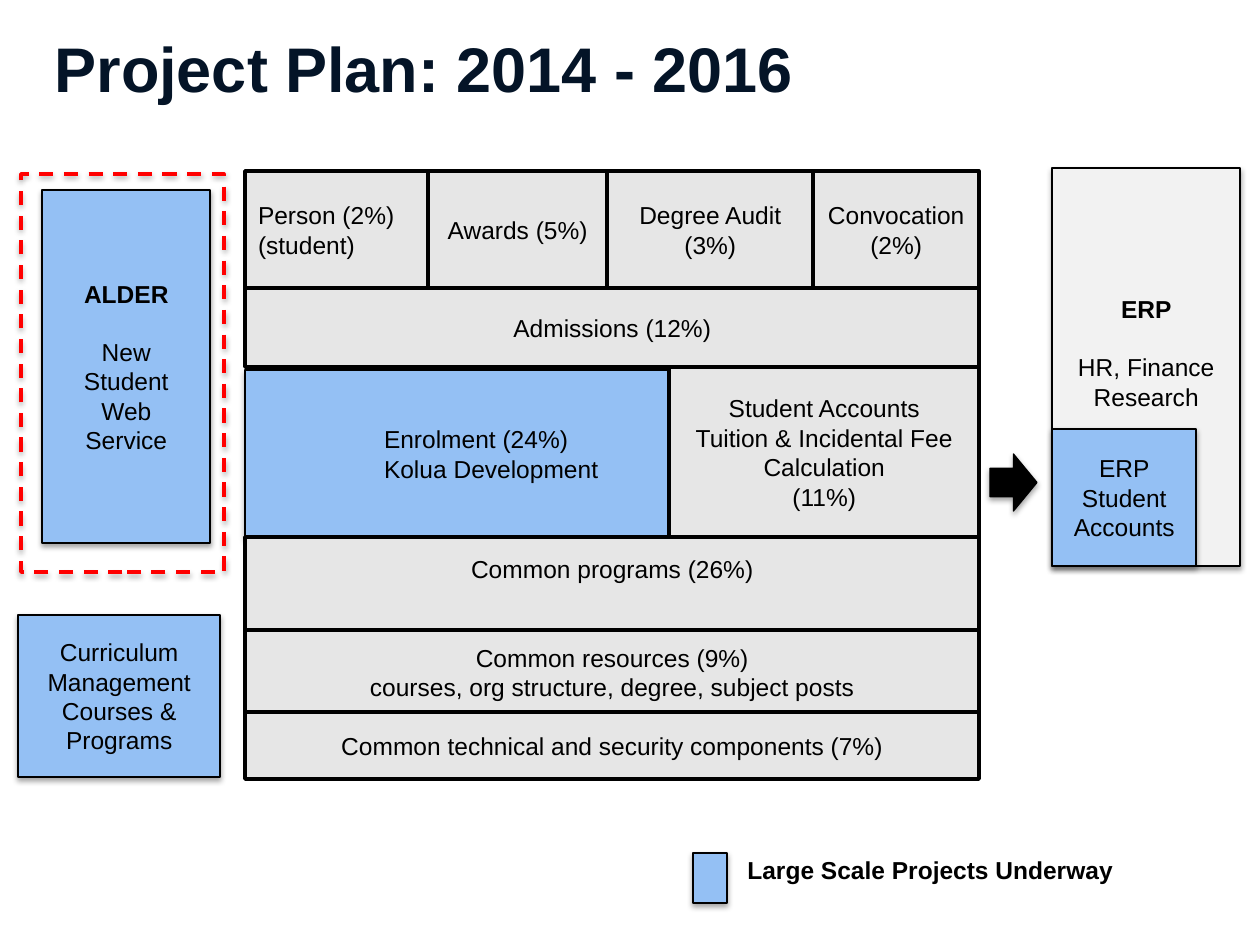
import itertools
from dataclasses import dataclass

import lxml.etree
import pptx
import pptx.dml.color
import pptx.enum.dml
import pptx.enum.shapes
import pptx.enum.text
import pptx.oxml.ns
import pptx.util

PX = 914400 / 126  # EMU in one px
SHAPES = pptx.enum.shapes.MSO_SHAPE
ALIGN = pptx.enum.text.PP_ALIGN
ANCHOR = pptx.enum.text.MSO_ANCHOR


@dataclass(frozen=True)
class Theme:
    font: str = "Arial"
    title_size: int = 36
    text_size: int = 14
    title: str = "041427"
    ink: str = "000000"
    underway: str = "94C0F4"
    planned: str = "E6E6E6"
    external: str = "F2F2F2"
    highlight: str = "FF0000"
    thin: float = 0.75
    thick: float = 2


THEME = Theme()


def px(value):
    return pptx.util.Emu(round(value * PX))


def rgb(value):
    return pptx.dml.color.RGBColor.from_string(value)


def format_text(text_frame, size=THEME.text_size, color=THEME.ink,
                align=ALIGN.LEFT, bold_lines=()):
    for index, paragraph in enumerate(text_frame.paragraphs):
        paragraph.alignment = align
        for run in paragraph.runs:
            run.font.name = THEME.font
            run.font.size = pptx.util.Pt(size)
            run.font.bold = index in bold_lines
            run.font.color.rgb = rgb(color)


def add_soft_shadow(shape):
    effects = shape._element.spPr.find(pptx.oxml.ns.qn("a:effectLst"))
    shadow = lxml.etree.SubElement(
        effects, pptx.oxml.ns.qn("a:outerShdw"),
        blurRad="40000", dist="23000", dir="5400000", rotWithShape="0")
    color = lxml.etree.SubElement(
        shadow, pptx.oxml.ns.qn("a:srgbClr"), val=THEME.ink)
    lxml.etree.SubElement(color, pptx.oxml.ns.qn("a:alpha"), val="35000")


def add_block(slide, box, fill, kind=SHAPES.RECTANGLE, line=THEME.ink,
              width=THEME.thin, shadow=True):
    shape = slide.shapes.add_shape(kind, *map(px, box))
    if fill:
        shape.fill.solid()
        shape.fill.fore_color.rgb = rgb(fill)
    else:
        shape.fill.background()
    shape.line.color.rgb = rgb(line)
    shape.line.width = pptx.util.Pt(width)
    shape.shadow.inherit = False
    if shadow:
        add_soft_shadow(shape)
    return shape


def write_label(shape, text, align=ALIGN.CENTER, heading=False,
                left=13, bottom=6):
    text_frame = shape.text_frame
    text_frame.text = text
    text_frame.word_wrap = True
    text_frame.vertical_anchor = ANCHOR.MIDDLE
    text_frame.margin_left = px(left)
    text_frame.margin_bottom = px(bottom)
    format_text(text_frame, align=align, bold_lines=(0,) if heading else ())
    if heading:
        text_frame.paragraphs[0].space_after = pptx.util.Pt(16.5)


def add_module(slide, box, text, **label):
    shape = add_block(slide, box, THEME.planned, width=THEME.thick, shadow=False)
    write_label(shape, text, **label)


def add_project(slide, box, text, fill=THEME.underway, **label):
    write_label(add_block(slide, box, fill), text, **label)


def add_title(slide, text):
    title = slide.shapes.title
    title.left, title.top, title.width, title.height = map(px, (42, 23, 1198, 89))
    title.text_frame.text = text
    title.text_frame.vertical_anchor = ANCHOR.MIDDLE
    format_text(title.text_frame, THEME.title_size, THEME.title, bold_lines=(0,))


def add_legend(slide, text):
    add_block(slide, (693, 853, 34, 50), THEME.underway)
    legend = slide.shapes.add_textbox(*map(px, (735, 849, 393, 43)))
    legend.text_frame.text = text
    legend.text_frame.word_wrap = False
    format_text(legend.text_frame, bold_lines=(0,))


def add_core_system(slide):
    left, right = 245, 979
    width = right - left

    # Full-width and split rows
    add_module(slide, (left, 288, width, 79), "Admissions (12%)")
    add_project(slide, (left, 370, 424, 167),
                "Enrolment (24%)\nKolua Development", align=ALIGN.LEFT, left=139)
    add_module(slide, (669, 367, 310, 170),
               "Student Accounts\nTuition & Incidental Fee Calculation\n(11%)")
    add_module(slide, (left, 630, width, 84),
               "Common resources (9%)\vcourses, org structure, degree, subject posts")
    add_module(slide, (left, 537, width, 93), "Common programs (26%)", bottom=35)
    add_module(slide, (left, 712, width, 67),
               "Common technical and security components (7%)")

    # Top row
    edges = (left, 428, 607, 813, right)
    labels = ("Person (2%)\v(student)", "Awards (5%)",
              "Degree Audit\n(3%)", "Convocation (2%)")
    aligns = (ALIGN.LEFT, ALIGN.CENTER, ALIGN.CENTER, ALIGN.CENTER)
    for (start, end), text, align in zip(itertools.pairwise(edges), labels, aligns):
        add_module(slide, (start, 171, end - start, 117), text, align=align)


def main():
    presentation = pptx.Presentation()
    presentation.slide_width = px(1260)
    presentation.slide_height = px(945)
    slide = presentation.slides.add_slide(presentation.slide_layouts[5])
    add_title(slide, "Project Plan: 2014 - 2016")

    # Student-facing projects on the left
    add_project(slide, (42, 190, 168, 353),
                "ALDER\nNew\nStudent\nWeb\nService", heading=True)
    add_project(slide, (18, 615, 202, 162),
                "Curriculum Management\nCourses & Programs")
    frame = add_block(slide, (21, 174, 203, 398), None,
                      line=THEME.highlight, width=THEME.thick)
    frame.line.dash_style = pptx.enum.dml.MSO_LINE.DASH

    add_core_system(slide)

    # Finance system on the right
    add_project(slide, (1052, 168, 188, 398), "ERP\nHR, Finance\nResearch",
                fill=THEME.external, heading=True, bottom=35)
    add_project(slide, (1052, 429, 144, 137), "ERP\nStudent Accounts")
    add_block(slide, (990, 454, 47, 57), THEME.ink, kind=SHAPES.RIGHT_ARROW)

    add_legend(slide, "Large Scale Projects Underway")
    presentation.save("out.pptx")


if __name__ == "__main__":
    main()
